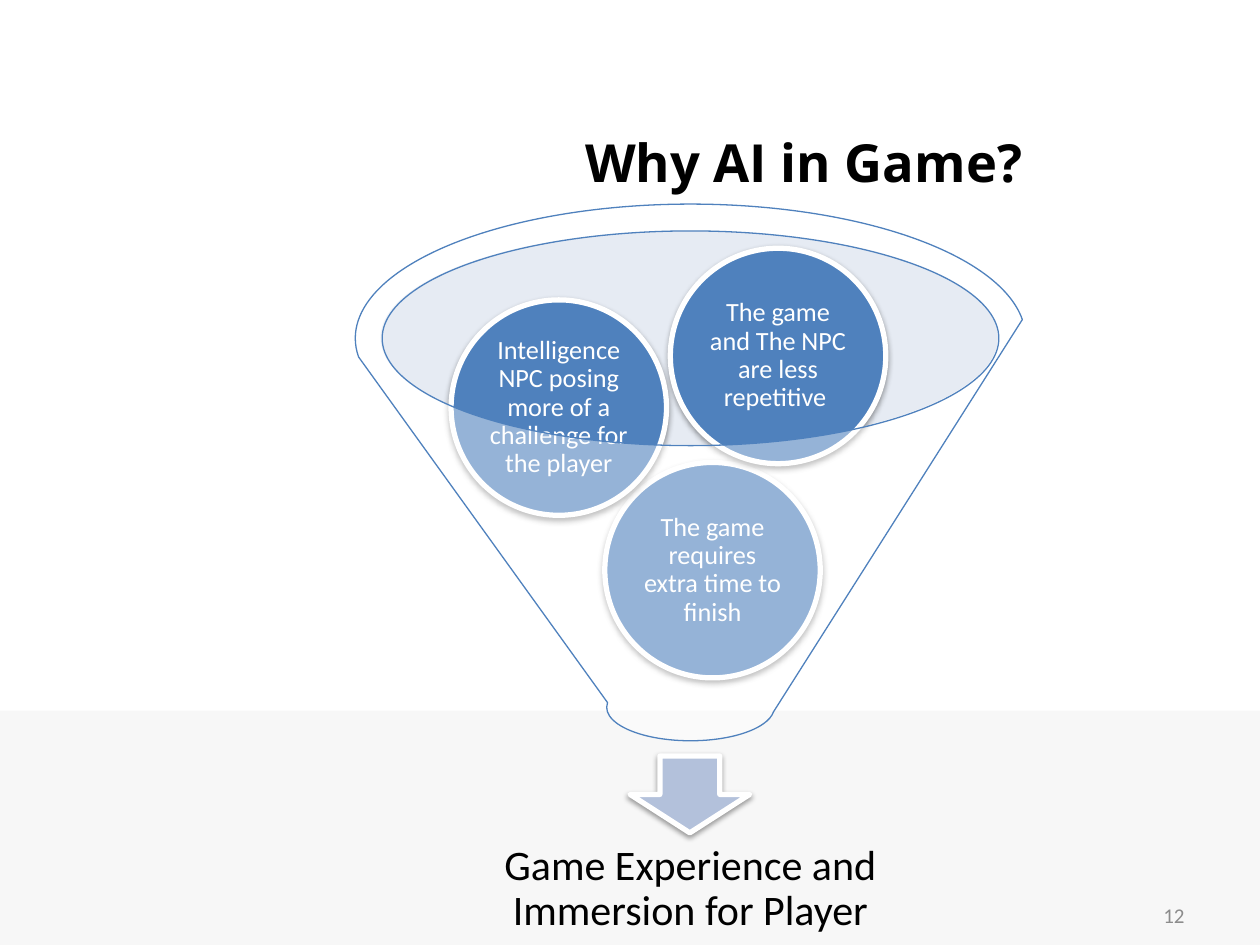
from dataclasses import dataclass
from typing import Optional

import pptx
import pptx.dml.color
import pptx.enum.shapes
import pptx.enum.text
import pptx.oxml
import pptx.oxml.ns
import pptx.util

PX = 9144  # EMU per px, 100 px to the inch
SHAPE = pptx.enum.shapes.MSO_SHAPE
ALIGN = pptx.enum.text.PP_ALIGN
ANCHOR = pptx.enum.text.MSO_ANCHOR

ACCENT, WHITE, BLACK = "4F81BD", "FFFFFF", "000000"
BALL_SIZE = 171


@dataclass
class Ball:
    left: int
    top: int
    text: str


@dataclass
class TextStyle:
    size: int
    color: str
    font: str = "Calibri"
    bold: bool = False
    align: ALIGN = ALIGN.CENTER
    anchor: ANCHOR = ANCHOR.MIDDLE
    spacing: float = 1.0
    inset: Optional[int] = None


BALLS = [
    Ball(480, 367, "The game requires extra time to finish"),
    Ball(358, 238, "Intelligence NPC posing more of a challenge for the player"),
    Ball(532, 197, "The game and The NPC are less repetitive "),
]
TITLE_STYLE = TextStyle(30, BLACK, "Open Sans", bold=True, anchor=ANCHOR.TOP)
BALL_STYLE = TextStyle(15, WHITE, spacing=0.9, inset=2)
OUTCOME_STYLE = TextStyle(24, BLACK, spacing=0.9, inset=19)
NUMBER_STYLE = TextStyle(12, "8C8C8C", align=ALIGN.RIGHT)


def rgb(color: str) -> pptx.dml.color.RGBColor:
    return pptx.dml.color.RGBColor.from_string(color)


def write(shape, text: str, style: TextStyle) -> None:
    frame = shape.text_frame
    frame.text = text
    frame.word_wrap = True
    frame.vertical_anchor = style.anchor
    if style.inset is not None:
        frame.margin_left = frame.margin_right = style.inset * PX
        frame.margin_top = frame.margin_bottom = style.inset * PX
    paragraph = frame.paragraphs[0]
    paragraph.alignment = style.align
    paragraph.line_spacing = style.spacing
    font = paragraph.runs[0].font
    font.name, font.size, font.bold = style.font, pptx.util.Pt(style.size), style.bold
    font.color.rgb = rgb(style.color)


def add_text(slide, left: int, top: int, width: int, height: int,
             text: str, style: TextStyle):
    box = slide.shapes.add_textbox(left * PX, top * PX, width * PX, height * PX)
    write(box, text, style)
    return box


def add_shape(slide, preset: SHAPE, left: int, top: int, width: int, height: int,
              fill: str, opacity: int = 100, line: Optional[str] = None,
              line_width: float = 3, shadow: bool = False):
    shape = slide.shapes.add_shape(preset, left * PX, top * PX, width * PX, height * PX)
    shape.fill.solid()
    shape.fill.fore_color.rgb = rgb(fill)
    if opacity < 100:
        color = shape.fill._xPr.find(".//" + pptx.oxml.ns.qn("a:srgbClr"))
        color.append(pptx.oxml.parse_xml(
            f'<a:alpha {pptx.oxml.ns.nsdecls("a")} val="{opacity * 1000}"/>'))
    if line:
        shape.line.color.rgb = rgb(line)
        shape.line.width = pptx.util.Pt(line_width)
    else:
        shape.line.fill.background()
    shape.shadow.inherit = False
    if shadow:
        effects = shape._element.spPr.find(pptx.oxml.ns.qn("a:effectLst"))
        effects.append(pptx.oxml.parse_xml(
            f'<a:outerShdw {pptx.oxml.ns.nsdecls("a")} blurRad="40000" dist="20000" '
            'dir="5400000" rotWithShape="0"><a:srgbClr val="000000">'
            '<a:alpha val="38000"/></a:srgbClr></a:outerShdw>'))
    return shape


def main() -> None:
    deck = pptx.Presentation()
    deck.slide_width, deck.slide_height = 1000 * PX, 750 * PX
    slide = deck.slides.add_slide(deck.slide_layouts[6])

    # Footer band and title
    add_shape(slide, SHAPE.RECTANGLE, 0, 564, 1000, 186, "F7F7F7")
    title = add_text(slide, 292, 98, 692, 61, "Why AI in Game?", TITLE_STYLE)
    title.text_frame.auto_size = pptx.enum.text.MSO_AUTO_SIZE.SHAPE_TO_FIT_TEXT

    # Funnel mouth, arrow and outcome
    add_shape(slide, SHAPE.OVAL, 302, 183, 490, 170, "C2CDE1", opacity=40)
    add_shape(slide, SHAPE.DOWN_ARROW, 500, 600, 95, 61, "B3C1DB",
              line=WHITE, shadow=True)
    add_text(slide, 320, 649, 456, 114,
             "Game Experience and Immersion for Player", OUTCOME_STYLE)

    # Balls, then the translucent funnel over them
    for ball in BALLS:
        circle = add_shape(slide, SHAPE.OVAL, ball.left, ball.top, BALL_SIZE, BALL_SIZE,
                           ACCENT, line=WHITE, shadow=True)
        write(circle, ball.text, BALL_STYLE)
    add_shape(slide, SHAPE.FUNNEL, 282, 162, 532, 426, WHITE, opacity=40,
              line=ACCENT, line_width=0.75)

    # Slide number
    add_text(slide, 717, 706, 233, 40, "12", NUMBER_STYLE)

    deck.save("out.pptx")


if __name__ == "__main__":
    main()
